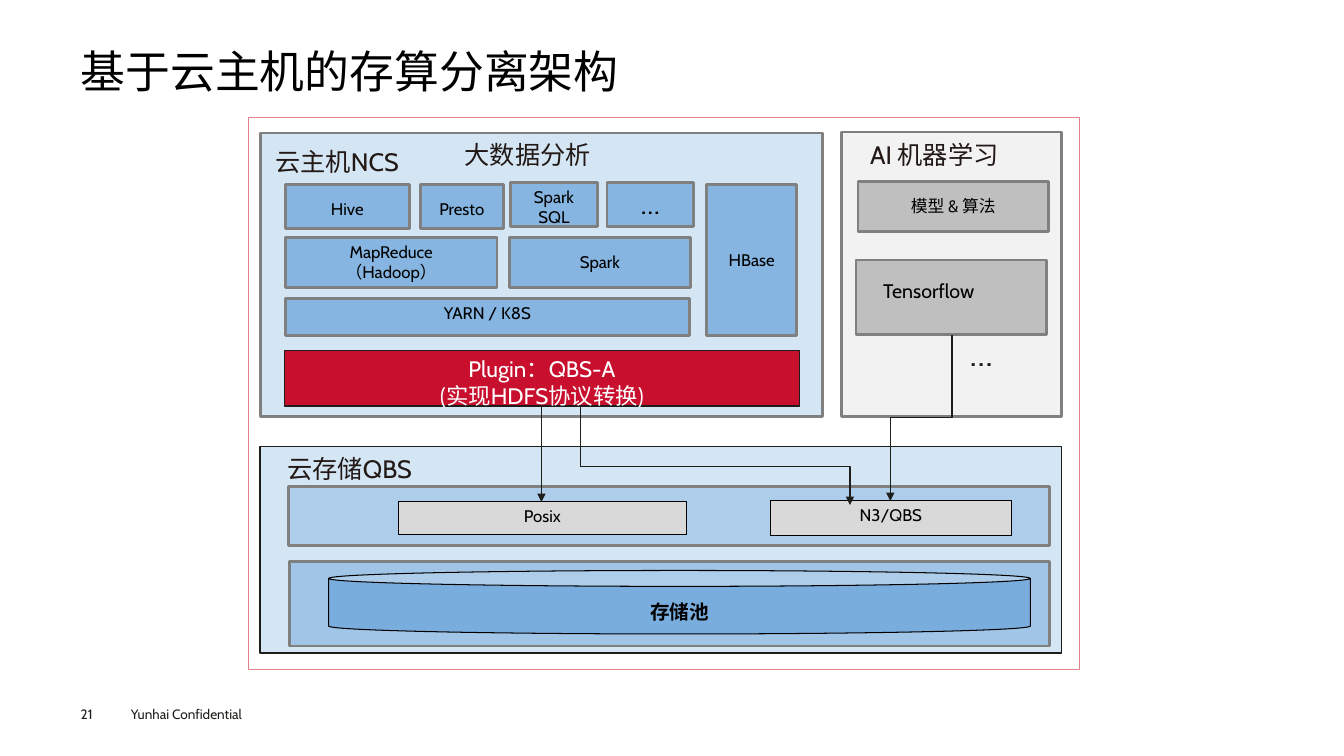
from lxml import etree
from pptx import Presentation
from pptx.dml.color import RGBColor
from pptx.enum.shapes import MSO_CONNECTOR as CONN, MSO_SHAPE as SHAPE
from pptx.enum.text import MSO_ANCHOR as ANCHOR, PP_ALIGN as ALIGN
from pptx.oxml.ns import qn
from pptx.util import Inches, Pt

FONT = "Cabin"
BLACK = RGBColor(0x00, 0x00, 0x00)
WHITE = RGBColor(0xFF, 0xFF, 0xFF)
INK = RGBColor(0x1D, 0x1D, 0x1A)
LABEL = RGBColor(0x22, 0x18, 0x15)
EDGE = RGBColor(0x80, 0x80, 0x80)
PINK = RGBColor(0xE2, 0x81, 0x89)
RED = RGBColor(0xC8, 0x10, 0x2E)
PANEL = RGBColor(0xD4, 0xE5, 0xF4)
ACCESS = RGBColor(0xAD, 0xCD, 0xEA)
STORAGE = RGBColor(0xA0, 0xC5, 0xE7)
POOL = RGBColor(0x79, 0xAD, 0xDD)
ENGINE = RGBColor(0x85, 0xB5, 0xE0)
AI_PANEL = RGBColor(0xF2, 0xF2, 0xF2)
AI_BOX = RGBColor(0xBF, 0xBF, 0xBF)
PROTOCOL = RGBColor(0xD9, 0xD9, 0xD9)

prs = Presentation()
prs.slide_width, prs.slide_height = Inches(13.33), Inches(7.5)
s = prs.slides.add_slide(prs.slide_layouts[5])


def write(sp, text, size, color, insets, align=ALIGN.LEFT, spacing=1.0,
          anchor=ANCHOR.TOP, bold=False):
    """Fill a shape with text; insets are left/right and top/bottom inches."""
    tf = sp.text_frame
    side, top = map(Inches, insets)
    frame = {"word_wrap": True, "vertical_anchor": anchor,
             "margin_left": side, "margin_right": side,
             "margin_top": top, "margin_bottom": top}
    for name, value in frame.items():
        setattr(tf, name, value)
    tf.text = text
    for p in tf.paragraphs:
        p.alignment, p.line_spacing = align, spacing
        for name, value in {"name": FONT, "size": Pt(size), "bold": bold}.items():
            setattr(p.font, name, value)
        p.font.color.rgb = color


def add_box(at, fill, line, width, kind=SHAPE.RECTANGLE):
    sp = s.shapes.add_shape(kind, *map(Inches, at))
    sp.shadow.inherit = False
    if fill is None:
        sp.fill.background()
    else:
        sp.fill.solid()
        sp.fill.fore_color.rgb = fill
    sp.line.color.rgb = line
    sp.line.width = Pt(width)
    return sp


# Title
title = s.shapes.title
title.left, title.top, title.width, title.height = map(Inches, (0.8, 0.46, 11.73, 0.54))
write(title, "基于云主机的存算分离架构", 32, BLACK, (0, 0), spacing=0.9, anchor=ANCHOR.MIDDLE)

# Panels
panels = [
    ((2.46, 1.17, 8.25, 5.47), None, PINK, 0.75),
    ((2.58, 1.32, 5.58, 2.81), PANEL, EDGE, 2),
    ((2.58, 4.43, 7.95, 2.05), PANEL, INK, 1),
    ((2.87, 5.57, 7.54, 0.84), STORAGE, EDGE, 2),
    ((2.86, 4.83, 7.55, 0.58), ACCESS, EDGE, 2),
    ((8.35, 1.31, 2.18, 2.82), AI_PANEL, EDGE, 2),
    ((8.49, 2.58, 1.89, 0.74), AI_BOX, EDGE, 2),
]
for panel in panels:
    add_box(*panel)

# Boxes with centred text: text, place, fill, line, width, size, spacing
boxes = [
    ("Hive", (2.83, 1.83, 1.23, 0.44), ENGINE, EDGE, 2, 12, 1.5),
    ("Presto", (4.17, 1.83, 0.82, 0.44), ENGINE, EDGE, 2, 12, 1.5),
    ("Spark\nSQL", (5.06, 1.81, 0.87, 0.44), ENGINE, EDGE, 2, 12, 1),
    ("…", (6.02, 1.81, 0.86, 0.44), ENGINE, EDGE, 2, 20, 1),
    ("MapReduce\n（Hadoop）", (2.83, 2.36, 2.1, 0.49), ENGINE, EDGE, 2, 12, 1),
    ("Spark", (5.05, 2.36, 1.8, 0.49), ENGINE, EDGE, 2, 12, 1.5),
    ("YARN / K8S", (2.83, 2.96, 4.01, 0.37), ENGINE, EDGE, 2, 12, 1),
    ("模型 & 算法", (8.51, 1.8, 1.89, 0.5), AI_BOX, EDGE, 2, 12, 1.5),
    ("Posix", (3.95, 4.98, 2.86, 0.32), PROTOCOL, BLACK, 0.75, 12, 1),
    ("N3/QBS", (7.64, 4.97, 2.39, 0.34), PROTOCOL, BLACK, 0.75, 12, 1),
]
for text, at, fill, line, width, size, spacing in boxes:
    write(add_box(at, fill, line, width), text, size, BLACK, (0.07, 0.04),
          ALIGN.CENTER, spacing)

hbase = add_box((7.01, 1.83, 0.89, 1.5), ENGINE, EDGE, 2)
write(hbase, "HBase", 12, BLACK, (0.07, 0.04), ALIGN.CENTER, anchor=ANCHOR.MIDDLE)
plugin = add_box((2.82, 3.48, 5.11, 0.55), RED, INK, 1)
write(plugin, "Plugin：QBS-A\n(实现HDFS协议转换)", 16, WHITE, (0, 0.04), ALIGN.CENTER)
pool = add_box((3.26, 5.66, 6.96, 0.63), POOL, BLACK, 0.75, SHAPE.CAN)
write(pool, "存储池", 14, BLACK, (0.07, 0.04), ALIGN.CENTER, 1.5, ANCHOR.MIDDLE, True)

# Labels and footer
labels = [
    ("云主机NCS", (2.7, 1.43, 1.36, 0.22), 18, LABEL, (0.03, 0.02)),
    ("大数据分析", (4.58, 1.36, 1.44, 0.24), 18, LABEL, (0.03, 0.02)),
    ("AI 机器学习", (8.6, 1.36, 1.81, 0.29), 18, LABEL, (0.03, 0.02)),
    ("Tensorflow", (8.73, 2.75, 1.38, 0.45), 14, BLACK, (0.03, 0.02)),
    ("…", (9.59, 3.28, 0.59, 0.3), 24, LABEL, (0.03, 0.02)),
    ("云存储QBS", (2.82, 4.48, 2.54, 0.31), 18, LABEL, (0.03, 0.02)),
    ("21", (0.8, 7, 0.55, 0.16), 9.7, INK, (0, 0)),
    ("Yunhai Confidential", (1.2, 6.95, 1.6, 0.27), 9.7, INK, (0.1, 0.05)),
]
for text, at, size, color, insets in labels:
    write(s.shapes.add_textbox(*map(Inches, at)), text, size, color, insets)

# Connectors: preset, ends before rotation, degrees, arrowhead
links = [
    ("line", (5.37, 4.03, 5.37, 4.98), 0, True),
    ("line", (5.76, 4.03, 5.76, 4.63), 0, False),
    ("bentConnector2", (5.76, 4.63, 8.43, 5.01), 0, True),
    ("bentConnector3", (8.31, 3.84, 9.96, 4.45), 90, True),
]
for preset, ends, degrees, arrow in links:
    kind = CONN.STRAIGHT if preset == "line" else CONN.ELBOW
    link = s.shapes.add_connector(kind, *map(Inches, ends))
    link.line.color.rgb = INK
    link.line.width = Pt(1)
    props = link._element.spPr
    props.find(qn("a:prstGeom")).set("prst", preset)
    if degrees:
        props.find(qn("a:xfrm")).set("rot", str(degrees * 60000))
    if arrow:
        etree.SubElement(props.find(qn("a:ln")), qn("a:tailEnd"), type="triangle")
    etree.SubElement(props, qn("a:effectLst"))

prs.save("out.pptx")
